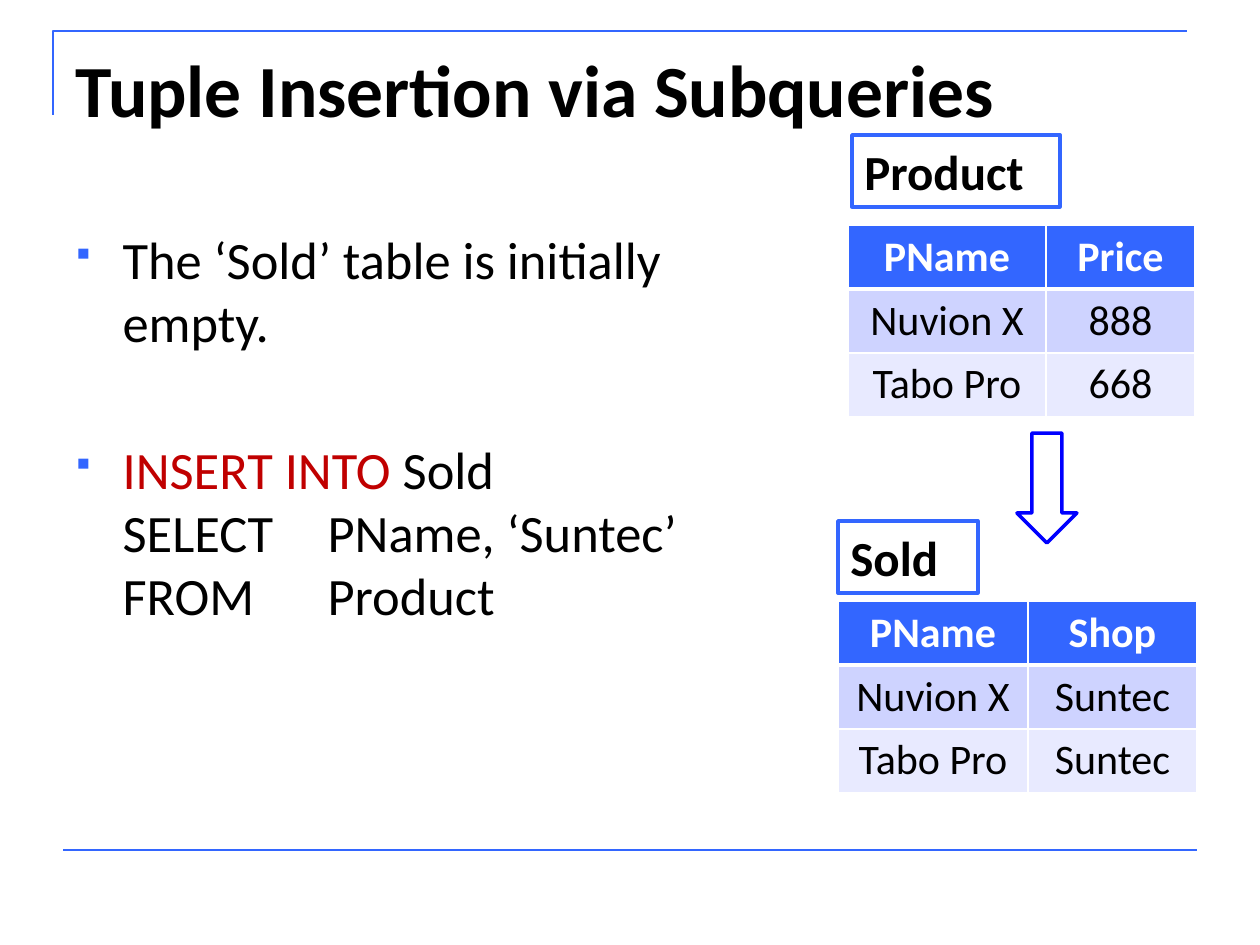
from lxml.etree import SubElement
from pptx import Presentation
from pptx.dml.color import RGBColor
from pptx.enum.shapes import MSO_CONNECTOR, MSO_SHAPE
from pptx.enum.text import MSO_ANCHOR, MSO_AUTO_SIZE, PP_ALIGN
from pptx.oxml.ns import qn
from pptx.util import Emu, Pt

PX = 914400 / 126
ROW_HEIGHT = 52
BLUE = RGBColor(0x33, 0x66, 0xFF)
ARROW_BLUE = RGBColor(0x00, 0x00, 0xFF)
RED = RGBColor(0xC0, 0x00, 0x00)
BLACK = RGBColor(0x00, 0x00, 0x00)
WHITE = RGBColor(0xFF, 0xFF, 0xFF)
BAND_DARK = RGBColor(0xCE, 0xD3, 0xFF)
BAND_LIGHT = RGBColor(0xE8, 0xEA, 0xFF)

TITLE_FONT = {"name": "Calibri", "size": Pt(42), "bold": True}
BODY_FONT = {"name": "Calibri", "size": Pt(30), "bold": False}
LABEL_FONT = {"name": "Calibri", "size": Pt(28), "bold": True}
HEADER_FONT = {"name": "Calibri", "size": Pt(24), "bold": True}
CELL_FONT = {"name": "Calibri", "size": Pt(24), "bold": False}

STATEMENTS = [
    [("The ‘Sold’ table is initially \nempty.", BLACK)],
    [("INSERT INTO", RED), (" Sold\nSELECT \tPName, ‘Suntec’\nFROM\tProduct", BLACK)],
]
PRODUCT_ROWS = [("PName", "Price"), ("Nuvion X", "888"), ("Tabo Pro", "668")]
SOLD_ROWS = [("PName", "Shop"), ("Nuvion X", "Suntec"), ("Tabo Pro", "Suntec")]


def px(length):
    """Turn a length in px into EMU."""
    return Emu(round(length * PX))


def apply(target, formats):
    """Set each attribute of the target from a dict of format values."""
    for attribute, value in formats.items():
        setattr(target, attribute, value)


def place(shape, box):
    """Move and size a shape to a px box."""
    apply(shape, dict(zip(("left", "top", "width", "height"), map(px, box))))


def write(paragraph, text, font, color):
    """Add text to a paragraph, with a line break at each newline."""
    for index, line in enumerate(text.split("\n")):
        if index:
            paragraph.add_line_break()
            SubElement(paragraph._p[-1], qn("a:rPr"), sz=str(int(font["size"].pt * 100)))
        run = paragraph.add_run()
        run.text = line
        apply(run.font, font)
        run.font.color.rgb = color


def outline(shape, color, width):
    """Give a shape a plain unfilled outline."""
    shape.shadow.inherit = False
    shape.fill.background()
    shape.line.color.rgb = color
    shape.line.width = Pt(width)


def add_frame(slide, box):
    """Draw the corner rule above the title and the rule at the foot."""
    left, top, width, height = box
    builder = slide.shapes.build_freeform(px(left), px(top + 84), scale=1.0)
    corner = [(px(left), px(top)), (px(left + width), px(top))]
    builder.add_line_segments(corner, close=False)
    outline(builder.convert_to_shape(), BLUE, 1.5)
    foot = slide.shapes.add_connector(
        MSO_CONNECTOR.STRAIGHT,
        px(left + 10), px(top + height), px(left + width + 10), px(top + height))
    foot.line.color.rgb = BLUE
    foot.line.width = Pt(1.5)
    SubElement(foot._element.spPr, qn("a:effectLst"))


def add_title(slide, box):
    """Fill the title placeholder."""
    title = slide.shapes.title
    place(title, box)
    apply(title.text_frame, {"vertical_anchor": MSO_ANCHOR.TOP, "word_wrap": True,
                             "auto_size": MSO_AUTO_SIZE.NONE})
    paragraph = title.text_frame.paragraphs[0]
    paragraph.alignment = PP_ALIGN.LEFT
    write(paragraph, "Tuple Insertion via Subqueries", TITLE_FONT, BLACK)


def add_bullet(paragraph):
    """Give a paragraph a square bullet, a hanging indent and a tab stop."""
    properties = paragraph._p.get_or_add_pPr()
    properties.set("marL", str(px(47)))
    properties.set("indent", str(-px(47)))
    color = SubElement(properties, qn("a:buClr"))
    SubElement(color, qn("a:srgbClr"), val=str(BLUE))
    SubElement(properties, qn("a:buSzPct"), val="65000")
    SubElement(properties, qn("a:buFont"), typeface="Wingdings", charset="2")
    SubElement(properties, qn("a:buChar"), char="§")
    tabs = SubElement(properties, qn("a:tabLst"))
    SubElement(tabs, qn("a:tab"), pos=str(px(252)), algn="l")


def add_statements(slide, box):
    """Fill the body placeholder with the bulleted statements."""
    body = slide.placeholders[1]
    place(body, box)
    frame = body.text_frame
    apply(frame, {"word_wrap": True, "auto_size": MSO_AUTO_SIZE.NONE})
    for index, parts in enumerate(STATEMENTS):
        paragraph = frame.add_paragraph() if index else frame.paragraphs[0]
        add_bullet(paragraph)
        paragraph.space_before = Pt(48 if index else 0)
        for text, color in parts:
            write(paragraph, text, BODY_FONT, color)


def add_label(slide, box, name):
    """Draw the boxed name of a relation and return the box."""
    label = slide.shapes.add_shape(MSO_SHAPE.RECTANGLE, *map(px, box))
    outline(label, BLUE, 2)
    label.text_frame.vertical_anchor = MSO_ANCHOR.TOP
    paragraph = label.text_frame.paragraphs[0]
    paragraph.alignment = PP_ALIGN.LEFT
    write(paragraph, name, LABEL_FONT, BLACK)
    return label


def add_borders(cell, top, bottom):
    """Draw white cell borders with the given top and bottom widths."""
    properties = cell._tc.get_or_add_tcPr()
    for side, width in (("L", 1), ("R", 1), ("T", top), ("B", bottom)):
        border = SubElement(properties, qn(f"a:ln{side}"), w=str(Pt(width)))
        fill = SubElement(border, qn("a:solidFill"))
        SubElement(fill, qn("a:srgbClr"), val=str(WHITE))


def add_relation(slide, box, column_widths, rows):
    """Draw a relation as a table with a header and banded rows."""
    table = slide.shapes.add_table(len(rows), len(column_widths), *map(px, box)).table
    for column, width in zip(table.columns, column_widths):
        column.width = px(width)
    fills = (BLUE, BAND_DARK, BAND_LIGHT)
    for row, values in enumerate(rows):
        table.rows[row].height = px(ROW_HEIGHT)
        font, color = (CELL_FONT, BLACK) if row else (HEADER_FONT, WHITE)
        for column, value in enumerate(values):
            cell = table.cell(row, column)
            add_borders(cell, 3 if row == 1 else 1, 1 if row else 3)
            cell.fill.solid()
            cell.fill.fore_color.rgb = fills[row]
            paragraph = cell.text_frame.paragraphs[0]
            paragraph.alignment = PP_ALIGN.CENTER
            write(paragraph, value, font, color)


def add_arrow(slide, box):
    """Draw the arrow from the source relation to the result."""
    arrow = slide.shapes.add_shape(MSO_SHAPE.DOWN_ARROW, *map(px, box))
    outline(arrow, ARROW_BLUE, 2)


def add_product(slide, box):
    """Draw the source relation under its label."""
    left, top, width, height = box
    add_relation(slide, (left, top + 90, width, height - 90), (198, 149), PRODUCT_ROWS)
    add_label(slide, (left + 4, top, 208, 72), "Product")


def add_sold(slide, box):
    """Draw the result relation under its label, with its header on top."""
    left, top, width, height = box
    columns = (190, 169)
    add_relation(slide, (left, top + 80, width, height - 80), columns, SOLD_ROWS)
    label = add_label(slide, (left, top, 140, 72), "Sold")
    label.fill.solid()
    label.fill.fore_color.rgb = WHITE
    add_relation(slide, (left, top + 80, width, 63), columns, SOLD_ROWS[:1])


def main():
    """Build the slide and save it."""
    presentation = Presentation()
    apply(presentation, {"slide_width": px(1260), "slide_height": px(945)})
    slide = presentation.slides.add_slide(presentation.slide_layouts[1])
    add_frame(slide, (53, 31, 1134, 819))
    add_title(slide, (63, 38, 1134, 157))
    add_statements(slide, (63, 221, 1134, 624))
    add_product(slide, (848, 135, 347, 279))
    add_arrow(slide, (1017, 433, 60, 110))
    add_sold(slide, (838, 521, 359, 269))
    presentation.save("out.pptx")


if __name__ == "__main__":
    main()
